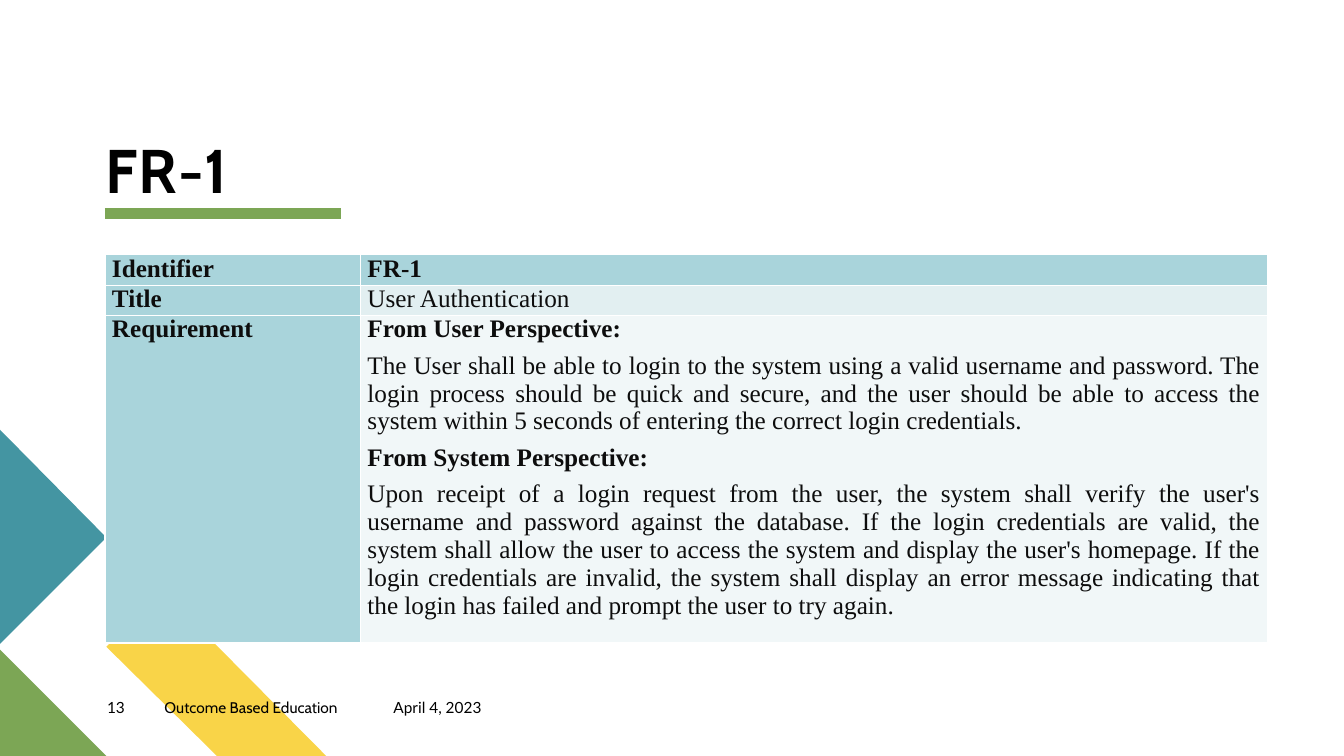
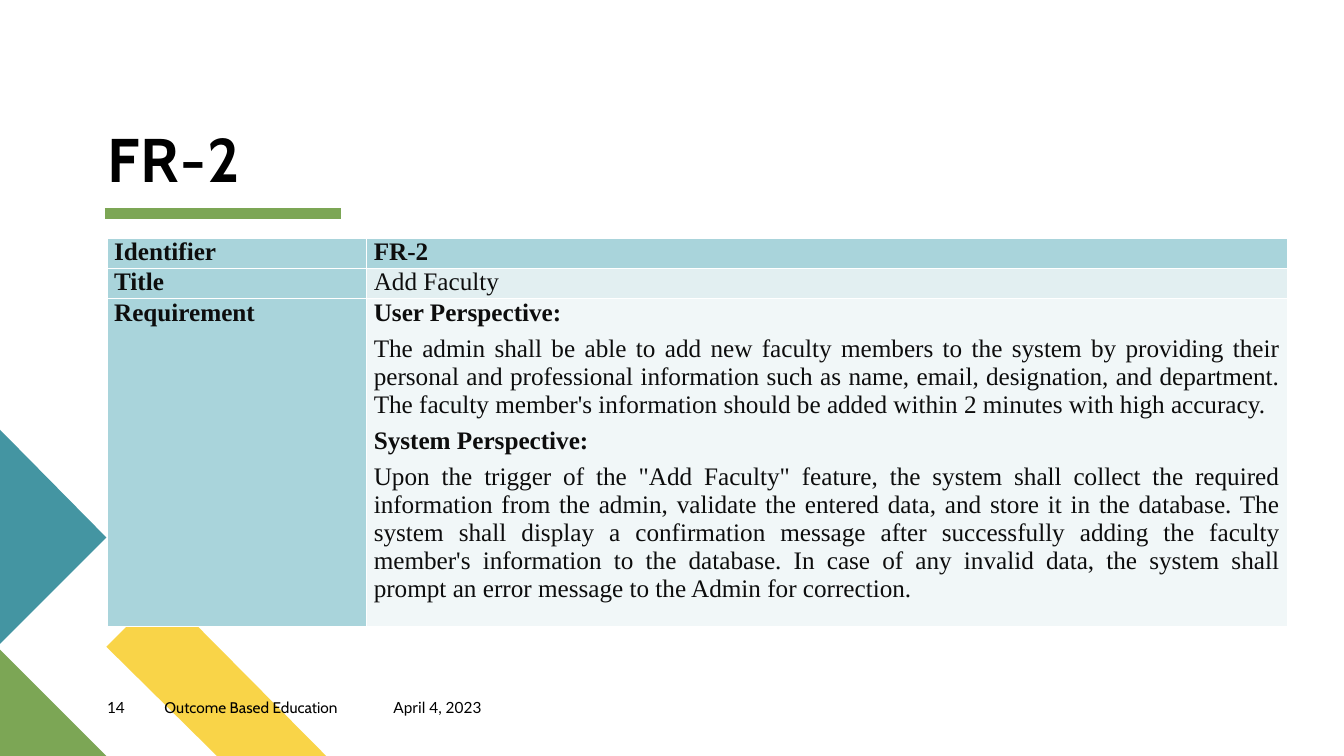
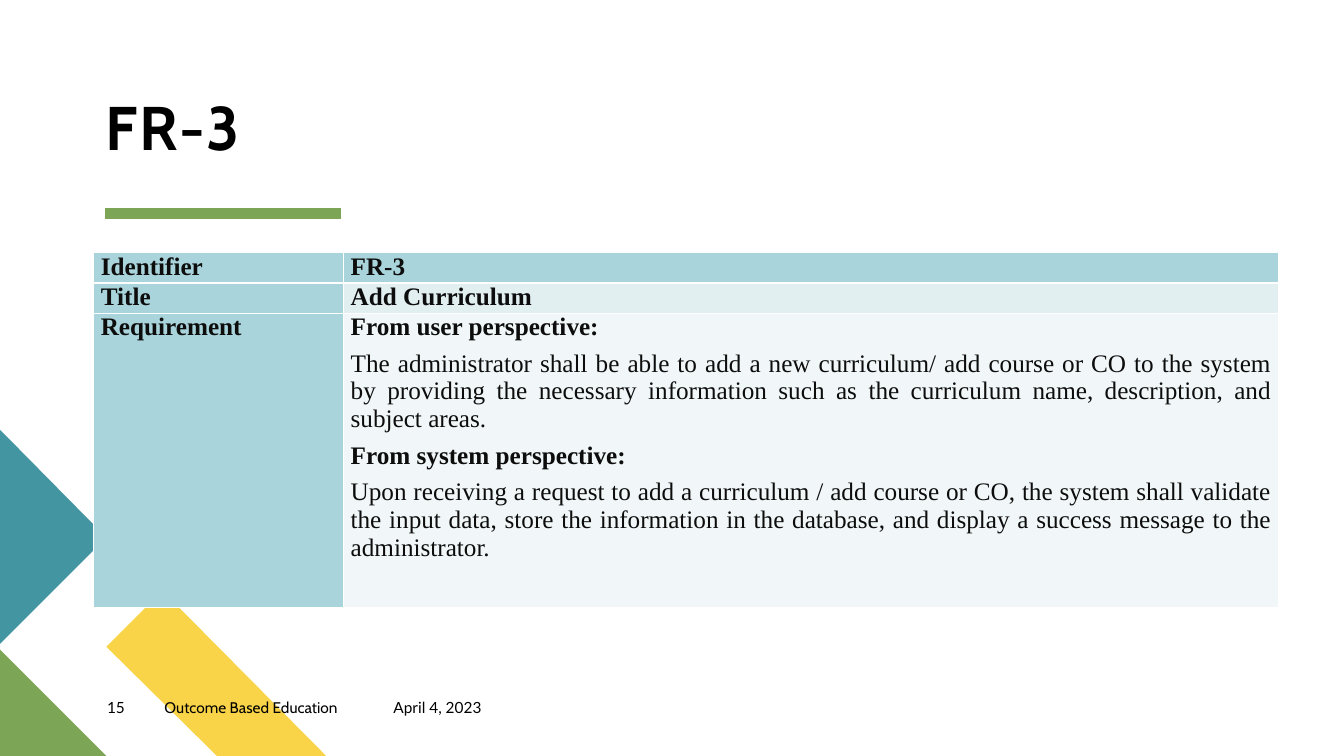
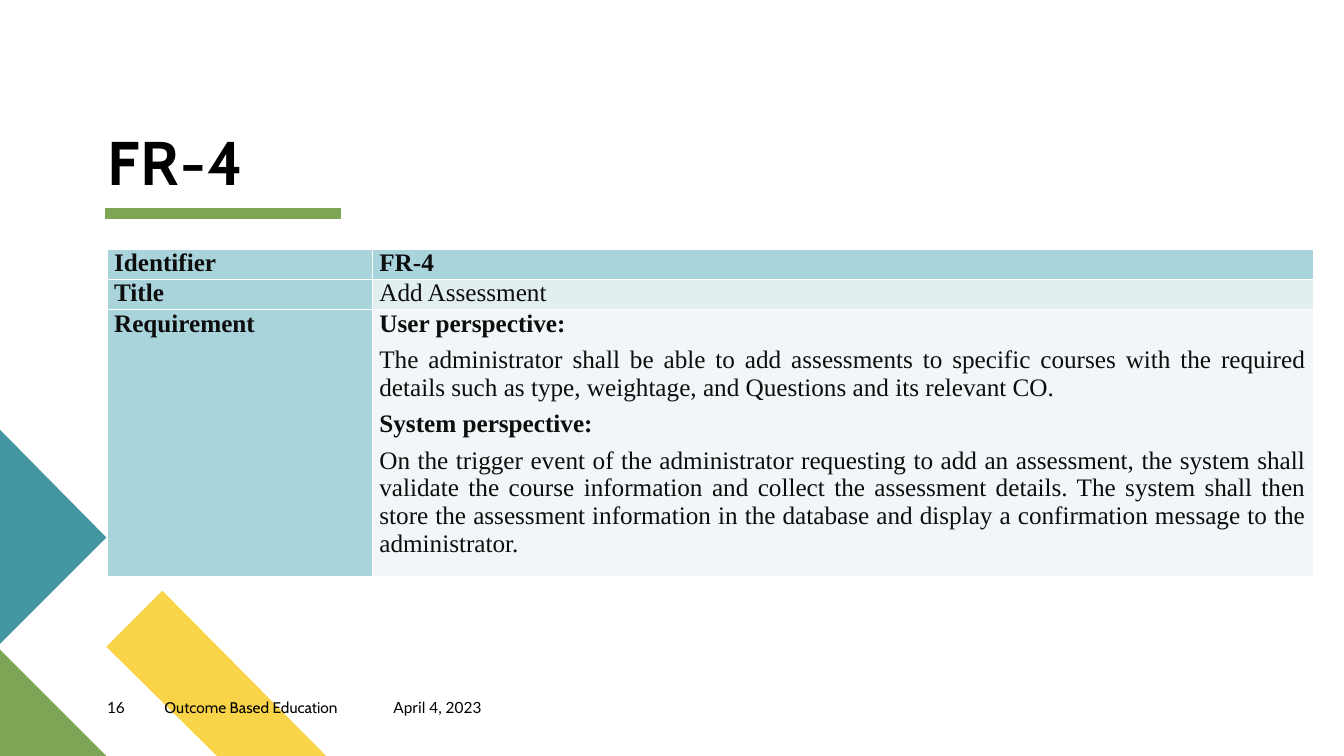
from pptx import Presentation
from pptx.dml.color import RGBColor
from pptx.enum.shapes import MSO_CONNECTOR
from pptx.enum.text import MSO_ANCHOR, PP_ALIGN
from pptx.oxml.ns import qn
from pptx.util import Pt

HUES = {
    "gold": "F9D448", "green": "7CA655", "teal": "4495A2",
    "black": "000000", "ink": "0D0D0D",
    "head": "A9D4DB", "band": "E2EFF1", "pale": "F1F7F8",
}
FONTS = {
    "title": {"name": "Cabin", "size": Pt(44), "bold": True},
    "foot": {"name": "Cabin", "size": Pt(11)},
    "note": {"name": "Lato", "size": Pt(11)},
    "bold": {"name": "Times New Roman", "size": Pt(18), "bold": True},
    "plain": {"name": "Times New Roman", "size": Pt(18), "bold": False},
}
BARE = {"margin_left": 0, "margin_top": 0, "margin_right": 0,
        "margin_bottom": 0, "word_wrap": True}
CELL = {"margin_left": Pt(5), "margin_top": 0, "margin_right": Pt(5),
        "margin_bottom": 0}
ART = [
    ("gold", [(233, 540), (155, 540), (76.5, 461.5), (116, 422.5)]),
    ("green", [(76.5, 540), (0, 540), (0, 463.5)]),
    ("teal", [(0, 307), (76.5, 383.5), (0, 460)]),
]


def hue(key):
    return RGBColor.from_string(HUES[key])


def put(item, form):
    for key, value in form.items():
        setattr(item, key, value)


class Deck:
    def __init__(self):
        self.file = Presentation()
        put(self.file, {"slide_width": Pt(960), "slide_height": Pt(540)})
        self.slide = None

    def page(self, number):
        self.slide = self.file.slides.add_slide(self.file.slide_layouts[6])
        for color, dots in ART:
            self.patch(color, dots)
        self.rule(75, 243.5, 152.6)
        self.text("April 4, 2023", (281, 498.5, 104, 19.5), "note")
        self.text("Outcome Based Education", (117.5, 499, 130, 19.5), "foot")
        self.text(str(number), (76.5, 498.5, 41, 19.5), "note")

    def patch(self, color, dots):
        pen = self.slide.shapes.build_freeform(*dots[0], scale=Pt(1))
        pen.add_line_segments(dots[1:], close=True)
        shape = pen.convert_to_shape()
        shape.shadow.inherit = False
        shape.fill.solid()
        shape.fill.fore_color.rgb = hue(color)
        shape.line.fill.background()

    def rule(self, start, end, top):
        line = self.slide.shapes.add_connector(
            MSO_CONNECTOR.STRAIGHT, Pt(start), Pt(top), Pt(end), Pt(top))
        line.line.width = Pt(8)
        line.line.color.rgb = hue("green")
        props = line._element.spPr
        props.append(props.makeelement(qn("a:effectLst"), {}))

    def run(self, para, words, style, color):
        run = para.add_run()
        run.text = words
        put(run.font, FONTS[style])
        run.font.color.rgb = hue(color)
        return run

    def text(self, words, area, style):
        frame = self.slide.shapes.add_textbox(*map(Pt, area)).text_frame
        put(frame, BARE)
        return frame, self.run(frame.paragraphs[0], words, style, "black")

    def title(self, words, area):
        frame, run = self.text(words, area, "title")
        frame.vertical_anchor = MSO_ANCHOR.BOTTOM
        frame.paragraphs[0].line_spacing = 0.9
        run.font._element.set("spc", "100")

    def cell(self, cell, lines, fill, after):
        put(cell, CELL)
        cell.fill.solid()
        cell.fill.fore_color.rgb = hue(fill)
        frame = cell.text_frame
        for index, (words, style) in enumerate(lines):
            para = frame.add_paragraph() if index else frame.paragraphs[0]
            put(para, {"alignment": PP_ALIGN.JUSTIFY, "space_after": Pt(after)})
            self.run(para, words, style, "ink")

    def table(self, spot, wide, tall, rows):
        size = map(Pt, (*spot, sum(wide), sum(tall)))
        table = self.slide.shapes.add_table(len(tall), len(wide), *size).table
        table.horz_banding = False
        for col, width in zip(table.columns, wide):
            col.width = Pt(width)
        for row, height in zip(table.rows, tall):
            row.height = Pt(height)
        for index, (label, lines, fill) in enumerate(rows):
            self.cell(table.cell(index, 0), [(label, "bold")], "head", 0)
            self.cell(table.cell(index, 1), lines, fill, 6)


PAGES = [
    {
        "code": "FR-1", "name": ("User Authentication", "plain"),
        "title": (75, 52, 389, 96), "spot": (75, 182),
        "wide": (182.5, 648), "tall": (20, 20, 216),
        "need": [
            "From User Perspective:",
            "The User shall be able to login to the system using a valid username and password. The login process should be quick and secure, and the user should be able to access the system within 5 seconds of entering the correct login credentials.",
            "From System Perspective:",
            "Upon receipt of a login request from the user, the system shall verify the user's username and password against the database. If the login credentials are valid, the system shall allow the user to access the system and display the user's homepage. If the login credentials are invalid, the system shall display an error message indicating that the login has failed and prompt the user to try again.",
        ],
    },
    {
        "code": "FR-2", "name": ("Add Faculty", "plain"),
        "title": (76.5, 92, 389, 48), "spot": (76.5, 170),
        "wide": (185.5, 657.5), "tall": (20, 20, 216),
        "need": [
            "User Perspective:",
            "The admin shall be able to add new faculty members to the system by providing their personal and professional information such as name, email, designation, and department. The faculty member's information should be added within 2 minutes with high accuracy.",
            "System Perspective:",
            "Upon the trigger of the \"Add Faculty\" feature, the system shall collect the required information from the admin, validate the entered data, and store it in the database. The system shall display a confirmation message after successfully adding the faculty member's information to the database. In case of any invalid data, the system shall prompt an error message to the Admin for correction.",
        ],
    },
    {
        "code": "FR-3", "name": ("Add Curriculum", "bold"),
        "title": (75.5, 69, 389, 48), "spot": (67, 180.5),
        "wide": (178.5, 668), "tall": (20.5, 20.5, 210),
        "need": [
            "From user perspective:",
            "The administrator shall be able to add a new curriculum/ add course or CO to the system by providing the necessary information such as the curriculum name, description, and subject areas.",
            "From system perspective:",
            "Upon receiving a request to add a curriculum / add course or CO, the system shall validate the input data, store the information in the database, and display a success message to the administrator.",
        ],
    },
    {
        "code": "FR-4", "name": ("Add Assessment", "plain"),
        "title": (76.5, 94, 389, 48), "spot": (76.5, 178),
        "wide": (189.5, 672), "tall": (20, 20, 177),
        "need": [
            "User perspective:",
            "The administrator shall be able to add assessments to specific courses with the required details such as type, weightage, and Questions and its relevant CO.",
            "System perspective:",
            "On the trigger event of the administrator requesting to add an assessment, the system shall validate the course information and collect the assessment details. The system shall then store the assessment information in the database and display a confirmation message to the administrator.",
        ],
    },
]


def main():
    deck = Deck()
    for number, page in enumerate(PAGES, 13):
        deck.page(number)
        deck.title(page["code"], page["title"])
        need = list(zip(page["need"], ("bold", "plain") * 2))
        deck.table(page["spot"], page["wide"], page["tall"], [
            ("Identifier", [(page["code"], "bold")], "head"),
            ("Title", [page["name"]], "band"),
            ("Requirement", need, "pale"),
        ])
    deck.file.save("out.pptx")


if __name__ == "__main__":
    main()
